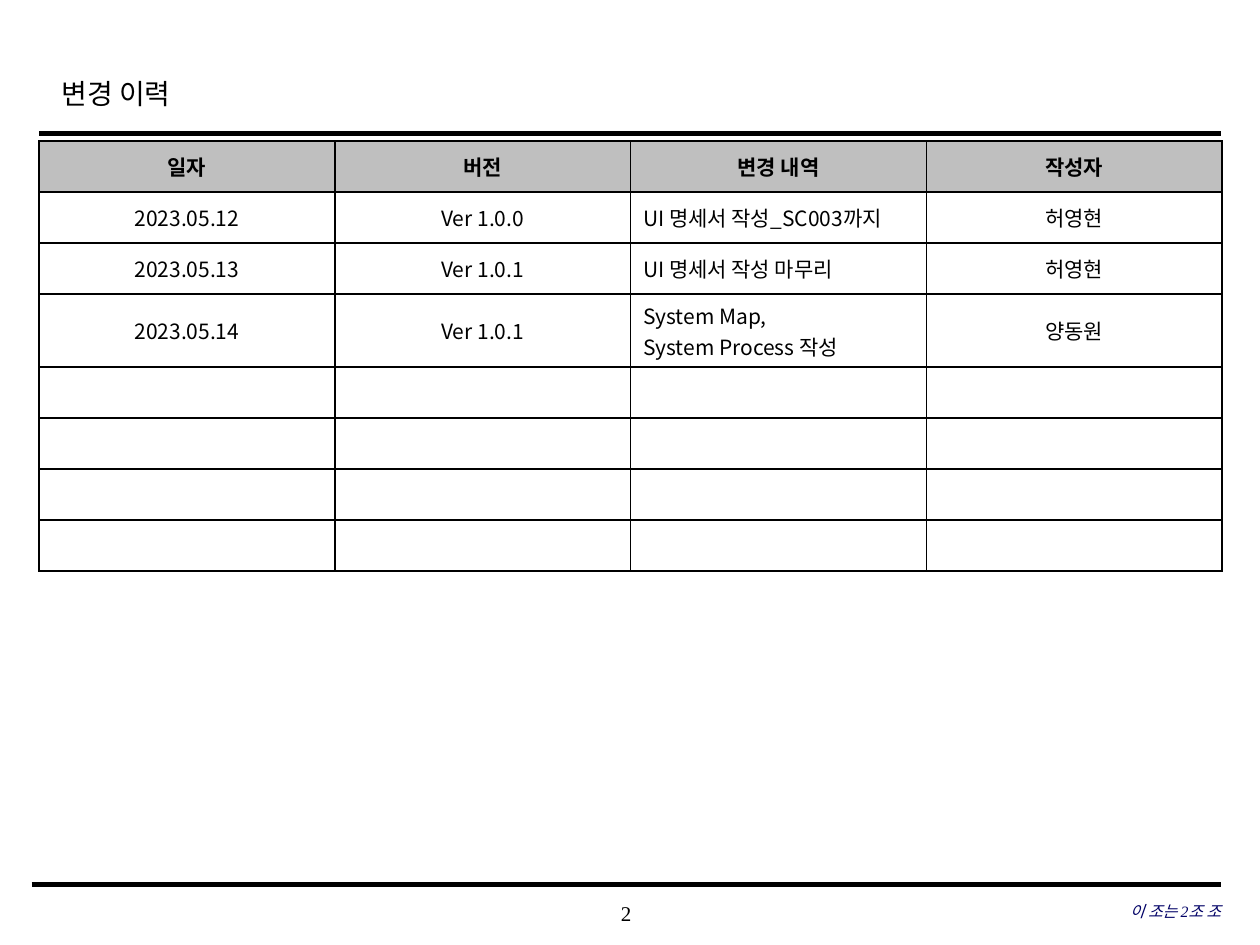
from lxml import etree
from pptx import Presentation
from pptx.dml.color import RGBColor
from pptx.enum.shapes import MSO_CONNECTOR
from pptx.enum.text import MSO_ANCHOR, PP_ALIGN
from pptx.oxml.ns import qn
from pptx.util import Inches, Pt

LEFT, CENTER, RIGHT = PP_ALIGN.LEFT, PP_ALIGN.CENTER, PP_ALIGN.RIGHT
MIDDLE = MSO_ANCHOR.MIDDLE
STRAIGHT = MSO_CONNECTOR.STRAIGHT

COLORS = {"ink": "000000", "header": "BFBFBF", "cell": "FFFFFF", "team": "000066"}
SERIF, KOREAN = "Times New Roman", "Noto Sans CJK KR"

HISTORY = [
    ("일자", "버전", "변경 내역", "작성자"),
    ("2023.05.12", "Ver 1.0.0", "UI 명세서 작성_SC003까지", "허영현"),
    ("2023.05.13", "Ver 1.0.1", "UI 명세서 작성 마무리", "허영현"),
    ("2023.05.14", "Ver 1.0.1", "System Map,\nSystem Process 작성", "양동원"),
]
ROWS, COLUMNS = 8, 4
DETAIL_COLUMN = 2
TABLE_WIDTH = 9.39
ROW_HEIGHT = 3.24 / ROWS
TWO_LINE_HEIGHT = 0.58


def write(frame, text, size=12, font=SERIF, color="ink", bold=False,
          italic=False, align=LEFT):
    """Fill a text frame, one paragraph for each line of text."""
    for index, line in enumerate(text.split("\n")):
        para = frame.add_paragraph() if index else frame.paragraphs[0]
        para.alignment = align
        span = para.add_run()
        span.text = line
        span.font.size = Pt(size)
        span.font.name = font
        span.font.bold = bold
        span.font.italic = italic
        span.font.color.rgb = RGBColor.from_string(COLORS[color])
        # Hangul takes its typeface from the East Asian slot
        latin = span.font._element.find(qn("a:latin"))
        latin.addnext(etree.Element(qn("a:ea"), typeface=KOREAN))


def add_text(page, left, top, width, height, text, inset=True, **style):
    box = page.shapes.add_textbox(Inches(left), Inches(top), Inches(width), Inches(height))
    frame = box.text_frame
    frame.word_wrap = True
    frame.vertical_anchor = MIDDLE
    if not inset:
        frame.margin_left = frame.margin_right = 0
        frame.margin_top = frame.margin_bottom = 0
    write(frame, text, **style)


def add_rule(page, left, right, top, weight):
    rule = page.shapes.add_connector(STRAIGHT, Inches(left), Inches(top),
                                     Inches(right), Inches(top))
    rule.line.color.rgb = RGBColor.from_string(COLORS["ink"])
    rule.line.width = Pt(weight)
    etree.SubElement(rule._element.spPr, qn("a:effectLst"))


def set_borders(cell):
    properties = cell._tc.get_or_add_tcPr()
    for index, side in enumerate(("lnL", "lnR", "lnT", "lnB")):
        border = etree.Element(qn(f"a:{side}"), w=str(Pt(1)))
        fill = etree.SubElement(border, qn("a:solidFill"))
        etree.SubElement(fill, qn("a:srgbClr"), val=COLORS["ink"])
        properties.insert(index, border)


def add_history(page, left, top):
    # Rows with a two-line entry are taller than the rest
    heights = [ROW_HEIGHT] * ROWS
    for index, entry in enumerate(HISTORY):
        if "\n" in entry[DETAIL_COLUMN]:
            heights[index] = TWO_LINE_HEIGHT
    table = page.shapes.add_table(
        ROWS, COLUMNS, Inches(left), Inches(top),
        Inches(TABLE_WIDTH), Inches(sum(heights))).table
    for row_index, row in enumerate(table.rows):
        row.height = Inches(heights[row_index])
        header = row_index == 0
        for column_index, cell in enumerate(row.cells):
            cell.vertical_anchor = MIDDLE
            cell.fill.solid()
            cell.fill.fore_color.rgb = RGBColor.from_string(
                COLORS["header" if header else "cell"])
            set_borders(cell)
            if row_index < len(HISTORY):
                detail = column_index == DETAIL_COLUMN and not header
                write(cell.text_frame, HISTORY[row_index][column_index],
                      font=KOREAN, bold=header, align=LEFT if detail else CENTER)
            else:
                # Keep empty rows at the height of the filled ones
                para = cell.text_frame.paragraphs[0]
                etree.SubElement(para._p, qn("a:endParaRPr"), sz="1200")


def main():
    deck = Presentation()
    deck.slide_width, deck.slide_height = Inches(10), Inches(7.5)
    page = deck.slides.add_slide(deck.slide_layouts[6])

    # Heading
    add_rule(page, 0.31, 9.69, 1.06, 2.5)
    add_text(page, 0.39, 0.49, 7.55, 0.5, "변경 이력", size=16)

    # Change history
    add_history(page, 0.31, 1.12)

    # Footer
    add_rule(page, 0.25, 9.69, 7.02, 3)
    add_text(page, 3.93, 7.08, 2.08, 0.33, "2", inset=False, align=CENTER)
    add_text(page, 6.63, 7.07, 3.06, 0.33, "이 조는 2조 조", inset=False,
             size=9, color="team", italic=True, align=RIGHT)

    deck.save("out.pptx")


if __name__ == "__main__":
    main()
